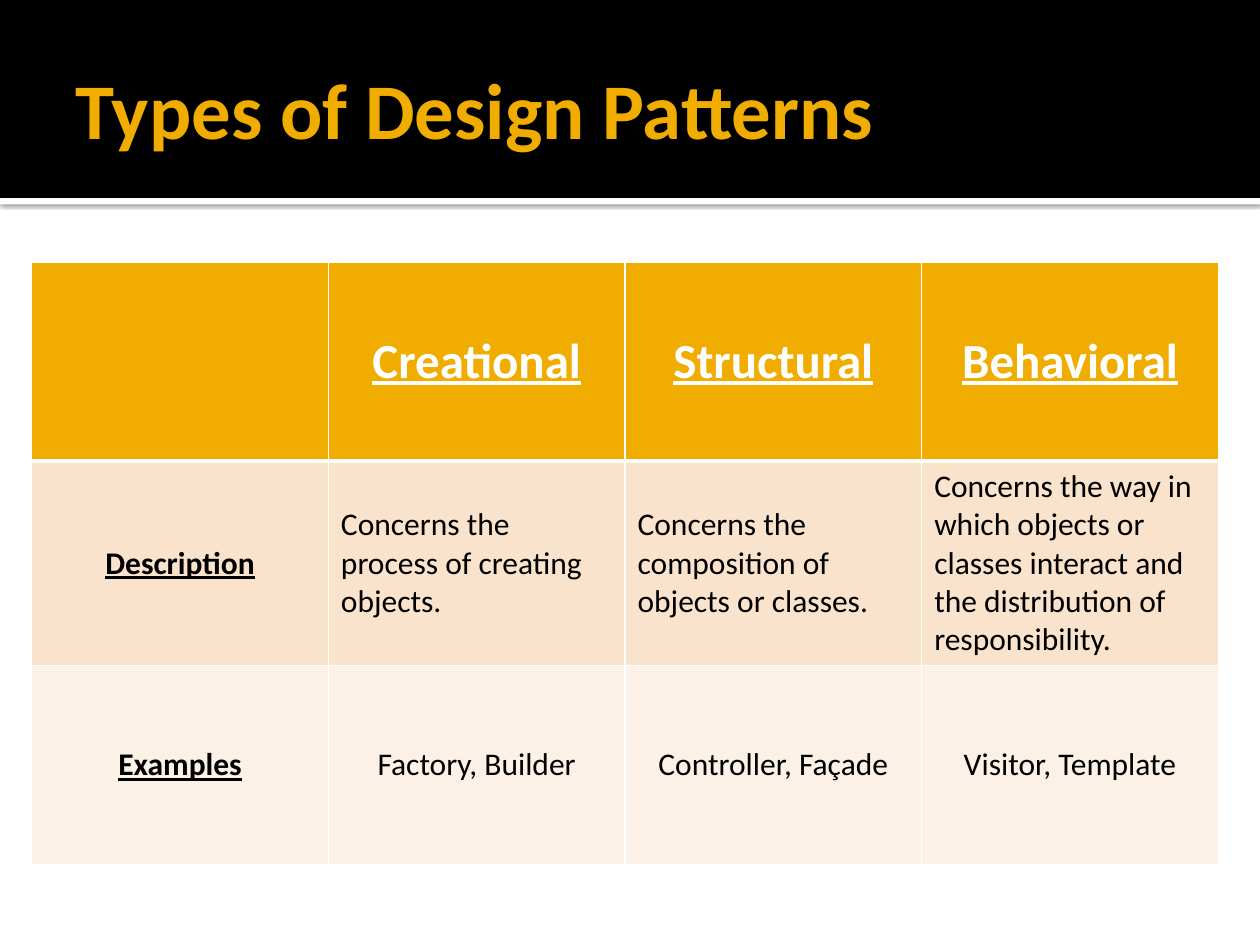
import pptx
import pptx.util
import pptx.dml.color
import pptx.enum.shapes
import pptx.enum.text
import pptx.oxml
import pptx.oxml.ns
from pptx.util import Cm

COLORS = {
    "gold": "F0AD00",
    "peach": "F9E3CC",
    "cream": "FCF1E7",
    "white": "FFFFFF",
    "black": "000000",
}
FONT = "Calibri"
ROWS = [
    ["", "Creational", "Structural", "Behavioral"],
    ["Description",
     "Concerns the process of creating objects.",
     "Concerns the composition of objects or classes.",
     "Concerns the way in which objects or classes interact and the distribution of responsibility."],
    ["Examples", "Factory, Builder", "Controller, Façade", "Visitor, Template"],
]
ROW_FILLS = ["gold", "peach", "cream"]


def rgb(name):
    return pptx.dml.color.RGBColor.from_string(COLORS[name])


def write(tf, text, size=18, color="black", bold=False, underline=False, align="LEFT"):
    p = tf.paragraphs[0]
    p.alignment = getattr(pptx.enum.text.PP_ALIGN, align)
    r = p.add_run()
    r.text = text
    r.font.name = FONT
    r.font.size = pptx.util.Pt(size)
    r.font.bold = bold
    r.font.underline = underline
    r.font.color.rgb = rgb(color)


def add_band(s, top, height, color):
    sp = s.shapes.add_shape(pptx.enum.shapes.MSO_SHAPE.RECTANGLE, 0, top, Cm(25.4), height)
    sp.shadow.inherit = False
    sp.fill.solid()
    sp.fill.fore_color.rgb = rgb(color)
    sp.line.fill.background()
    return sp


def add_shadow(sp):
    effects = sp.element.spPr.find(pptx.oxml.ns.qn("a:effectLst"))
    effects.append(pptx.oxml.parse_xml(
        f'<a:outerShdw {pptx.oxml.ns.nsdecls("a")} blurRad="31750" dist="10160" dir="5400000" '
        f'algn="tl" rotWithShape="0"><a:srgbClr val="{COLORS["black"]}">'
        '<a:alpha val="60000"/></a:srgbClr></a:outerShdw>'))


def set_title(s, text):
    title = s.shapes.title
    title.element.getparent().append(title.element)
    title.left, title.top, title.width, title.height = Cm(1.27), Cm(0.43), Cm(22.86), Cm(3.48)
    tf = title.text_frame
    tf.word_wrap = True
    tf.vertical_anchor = pptx.enum.text.MSO_ANCHOR.MIDDLE
    tf.margin_left = Cm(0.25)
    tf.margin_right = tf.margin_top = tf.margin_bottom = Cm(0.13)
    write(tf, text, size=45, color="gold", bold=True)


def set_borders(cell, top, bottom):
    tcPr = cell._tc.get_or_add_tcPr()
    widths = {"lnL": 1, "lnR": 1, "lnT": top, "lnB": bottom}
    for i, (side, width) in enumerate(widths.items()):
        tcPr.insert(i, pptx.oxml.parse_xml(
            f'<a:{side} {pptx.oxml.ns.nsdecls("a")} w="{pptx.util.Pt(width)}">'
            f'<a:solidFill><a:srgbClr val="{COLORS["white"]}"/></a:solidFill></a:{side}>'))


def add_pattern_table(s):
    n_rows, n_cols = len(ROWS), len(ROWS[0])
    table = s.shapes.add_table(
        n_rows, n_cols, Cm(0.64), Cm(5.28), Cm(23.92), Cm(4.01) * n_rows).table
    for i, row in enumerate(ROWS):
        for j, text in enumerate(row):
            cell = table.cell(i, j)
            cell.fill.solid()
            cell.fill.fore_color.rgb = rgb(ROW_FILLS[i])
            cell.vertical_anchor = pptx.enum.text.MSO_ANCHOR.MIDDLE
            set_borders(cell, top=3 if i == 1 else 1, bottom=3 if i == 0 else 1)
            header = i == 0
            label = header or j == 0
            if text:
                write(cell.text_frame, text, size=28 if header else 18,
                      color="white" if header else "black", bold=label, underline=label,
                      align="LEFT" if i == 1 and not label else "CENTER")


def main():
    prs = pptx.Presentation()
    prs.slide_width, prs.slide_height = Cm(25.4), Cm(19.05)
    s = prs.slides.add_slide(prs.slide_layouts[5])
    add_shadow(add_band(s, Cm(3.99), Cm(0.13), "white"))
    add_band(s, 0, Cm(3.99), "black")
    set_title(s, "Types of Design Patterns")
    add_pattern_table(s)
    prs.save("out.pptx")


if __name__ == "__main__":
    main()
